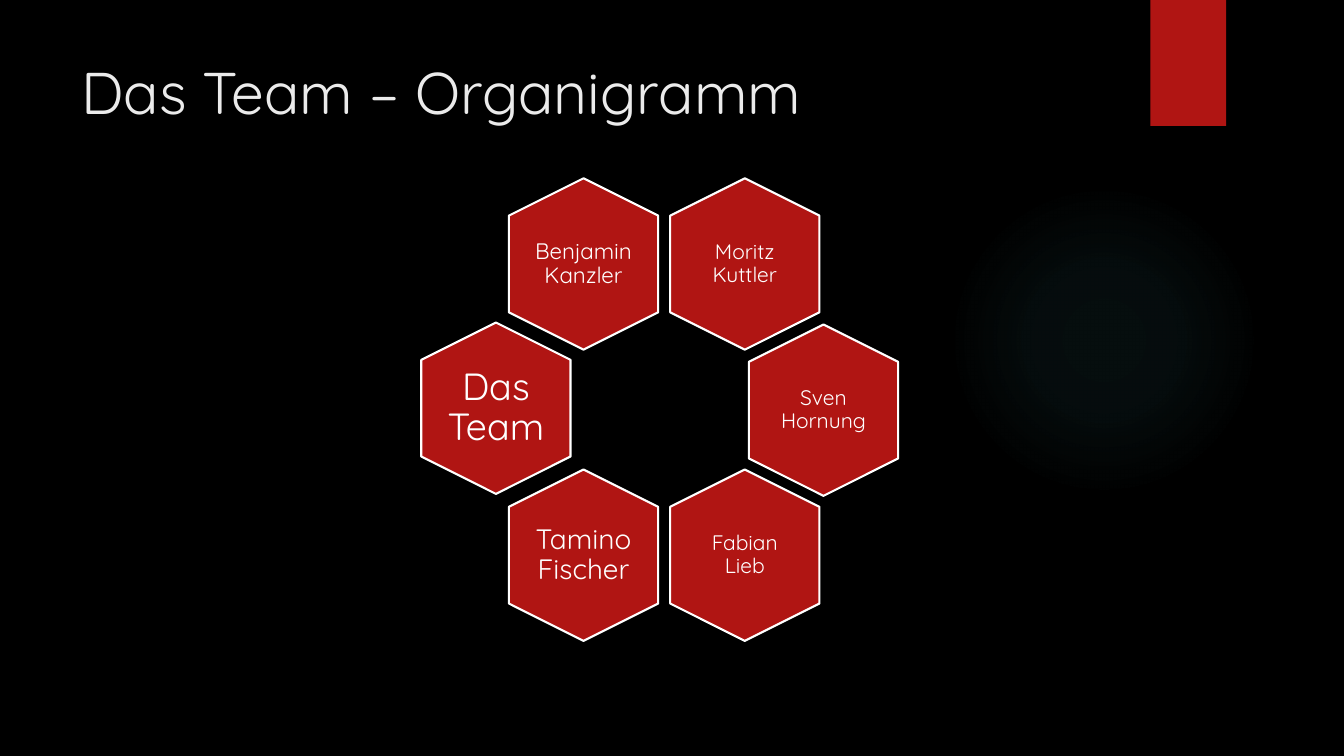
from lxml import etree
from pptx import Presentation
from pptx.dml.color import RGBColor
from pptx.enum import shapes, text
from pptx.oxml import ns
from pptx.util import Pt

FONT = "Quicksand"
RED, WHITE = "B01513", "FFFFFF"
HEX_LONG, HEX_WIDE = 122.4, 106.6
TEXT_WIDE, TEXT_HIGH = 73.4, 84.2

# name, font size, inset, centre x, centre y
TEAM = [
    ("Moritz Kuttler", 15, 4.5, 532, 188.6),
    ("Benjamin Kanzler", 16, 0, 416.8, 188.6),
    ("Sven Hornung", 15, 4.5, 588.2, 293),
    ("Das Team", 27, 0, 354.2, 291.6),
    ("Fabian Lieb", 15, 4.5, 532, 396.6),
    ("Tamino Fischer", 20, 0, 416.8, 396.6),
]


def paint(fill, color):
    """Give a fill one solid colour."""
    fill.solid()
    fill.fore_color.rgb = RGBColor.from_string(color)


def place(item, left, top, width, height):
    """Set the position and size of a placeholder."""
    item.left, item.top = Pt(left), Pt(top)
    item.width, item.height = Pt(width), Pt(height)


def write(par, words, size, color):
    """Add one formatted run to a paragraph."""
    run = par.add_run()
    run.text = words
    run.font.name, run.font.size = FONT, Pt(size)
    run.font.color.rgb = RGBColor.from_string(color)


def set_frame(frame, anchor, across, down):
    """Wrap a text frame and set its anchor and insets."""
    frame.word_wrap = True
    frame.auto_size = text.MSO_AUTO_SIZE.NONE
    frame.vertical_anchor = anchor
    frame.margin_left = frame.margin_right = Pt(across)
    frame.margin_top = frame.margin_bottom = Pt(down)


def add_shape(slide, kind, left, top, width, height, color):
    """Add a filled preset shape without line or shadow."""
    shape = slide.shapes.add_shape(
        kind, Pt(left), Pt(top), Pt(width), Pt(height))
    shape.shadow.inherit = False
    paint(shape.fill, color)
    shape.line.fill.background()
    return shape


def add_glow(slide, left, top, size, color, stops):
    """Add a circle that fades out through (position, alpha) percent stops."""
    glow = add_shape(slide, shapes.MSO_SHAPE.OVAL, left, top, size, size, color)
    marks = "".join(
        f'<a:gs pos="{pos * 1000}"><a:srgbClr val="{color}">'
        f'<a:alpha val="{alpha * 1000}"/></a:srgbClr></a:gs>'
        for pos, alpha in stops)
    fade = etree.fromstring(
        f'<a:gradFill {ns.nsdecls("a")}><a:gsLst>{marks}</a:gsLst>'
        '<a:path path="circle"><a:fillToRect l="50000" t="50000" '
        'r="50000" b="50000"/></a:path></a:gradFill>')
    props = glow.element.spPr
    props.replace(props.find(ns.qn("a:solidFill")), fade)


def add_title(slide, words):
    """Place and fill the title."""
    title = slide.shapes.title
    place(title, 51, 36, 741, 110)
    set_frame(title.text_frame, text.MSO_ANCHOR.TOP, 7.2, 3.6)
    par = title.text_frame.paragraphs[0]
    par.alignment = text.PP_ALIGN.LEFT
    write(par, words, 42, "EBEBEB")


def add_member(slide, name, size, inset, x, y):
    """Add an upright hexagon with a name, centred on a point."""
    tile = add_shape(slide, shapes.MSO_SHAPE.HEXAGON, x - HEX_LONG / 2,
                     y - HEX_WIDE / 2, HEX_LONG, HEX_WIDE, RED)
    tile.rotation = 90
    tile.adjustments[0] = 0.25
    paint(tile.line.fill, WHITE)
    tile.line.width = Pt(1.5)

    box = slide.shapes.add_textbox(
        Pt(x - TEXT_WIDE / 2), Pt(y - TEXT_HIGH / 2),
        Pt(TEXT_WIDE), Pt(TEXT_HIGH))
    set_frame(box.text_frame, text.MSO_ANCHOR.MIDDLE, inset, inset)
    par = box.text_frame.paragraphs[0]
    par.alignment = text.PP_ALIGN.CENTER
    par.line_spacing = 0.9
    write(par, name, size, WHITE)


def main():
    """Build the team slide and save it."""
    deck = Presentation()
    deck.slide_width, deck.slide_height = Pt(960), Pt(540)
    slide = deck.slides.add_slide(deck.slide_layouts[5])
    paint(slide.background.fill, "000000")

    add_glow(slide, 677.5, 131.8, 221.8, "50B9C1",
             [(0, 7), (36, 6), (69, 0), (100, 0)])
    add_shape(slide, shapes.MSO_SHAPE.RECTANGLE, 821.8, 0, 54, 90, RED)
    add_title(slide, "Das Team – Organigramm")
    for member in TEAM:
        add_member(slide, *member)
    deck.save("out.pptx")


main()
